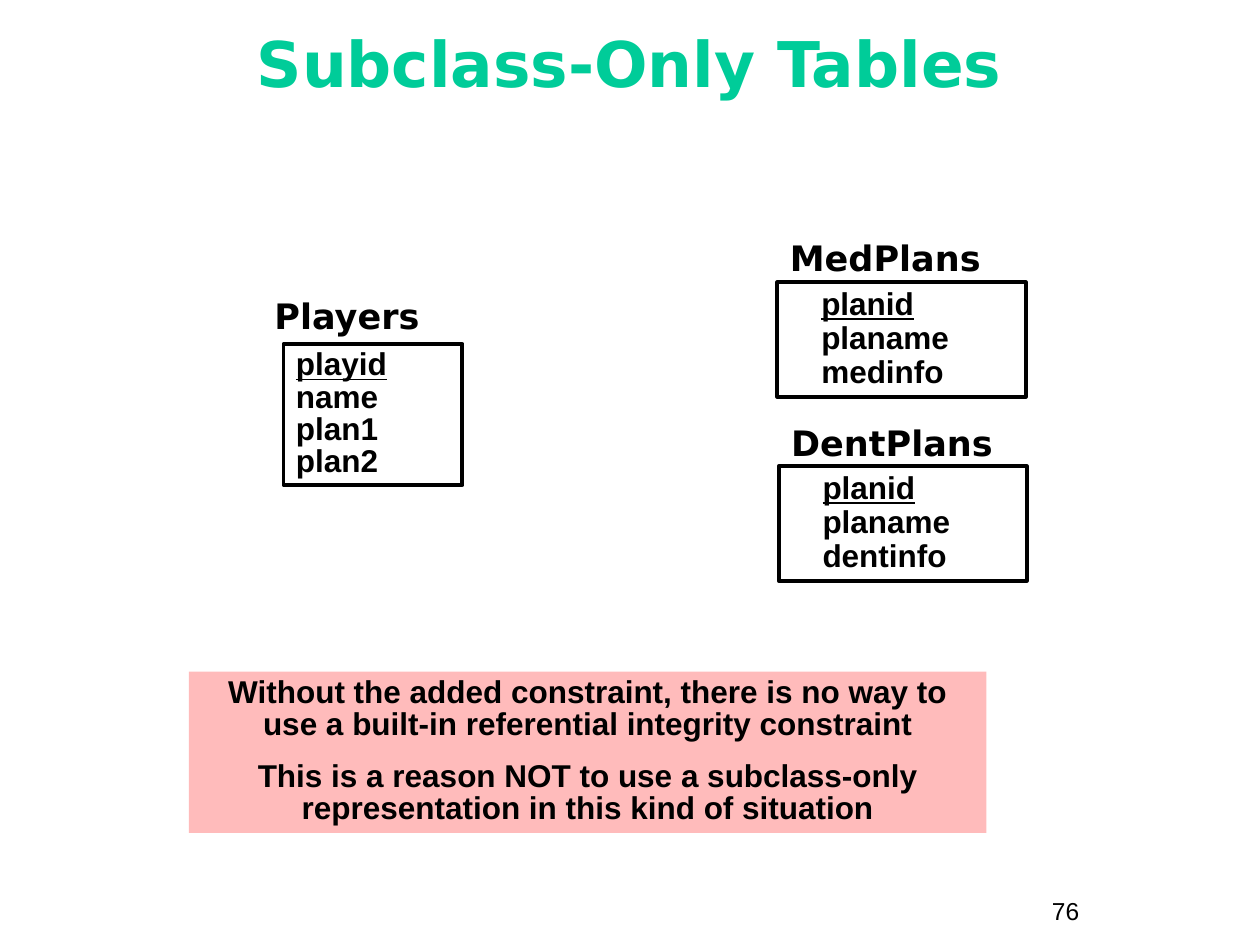
from pptx import Presentation, util as u
from pptx.dml.color import RGBColor
from pptx.enum import shapes, text

COLORS = {"title": "00CC99", "ink": "000000", "note": "FFBBBB"}
BODY, HEADING = "Arial", "DejaVu Sans"

TITLE = "Subclass-Only Tables"
PAGE_NUMBER = "76"
# The first column of each relation is its key.
RELATIONS = [
    dict(name="Players", columns=["playid", "name", "plan1", "plan2"],
         label=(2.08, 2.29), box=(2.25, 2.73, 1.42, 1.12), spacing=0.85, indent=0),
    dict(name="MedPlans", columns=["planid", "planame", "medinfo"],
         label=(6.17, 1.83), box=(6.17, 2.24, 1.97, 0.91), spacing=0.9, indent=0.25),
    dict(name="DentPlans", columns=["planid", "planame", "dentinfo"],
         label=(6.18, 3.3), box=(6.18, 3.7, 1.97, 0.91), spacing=0.9, indent=0.25),
]
NOTES = [
    "Without the added constraint, there is no way to use a built-in "
    "referential integrity constraint",
    "This is a reason NOT to use a subclass-only representation in this "
    "kind of situation",
]


def rgb(name):
    return RGBColor.from_string(COLORS[name])


def inches(*lengths):
    return [u.Inches(length) for length in lengths]


def write(shape, lines, size=18, font=BODY, color="ink", bold=True, align="LEFT",
          anchor="TOP", spacing=1.0, gap=0, indent=0, key=None):
    """Fill a shape with one paragraph per line; the line equal to key is underlined."""
    frame = shape.text_frame
    frame.word_wrap = True
    frame.auto_size = text.MSO_AUTO_SIZE.NONE
    frame.vertical_anchor = text.MSO_ANCHOR[anchor]
    for index, line in enumerate(lines):
        paragraph = frame.add_paragraph() if index else frame.paragraphs[0]
        paragraph.alignment = text.PP_ALIGN[align]
        paragraph.line_spacing = spacing
        paragraph.space_before = u.Pt(gap if index else 0)
        if indent:
            properties = paragraph._p.get_or_add_pPr()
            properties.set("marL", str(u.Inches(indent)))
            properties.set("indent", "0")
        run = paragraph.add_run()
        run.text = line
        run.font.size, run.font.name, run.font.bold = u.Pt(size), font, bold
        run.font.color.rgb = rgb(color)
        if line == key:
            run.font.underline = True


def add_rectangle(slide, place, fill=None, line=None):
    rectangle = slide.shapes.add_shape(shapes.MSO_SHAPE.RECTANGLE, *inches(*place))
    rectangle.shadow.inherit = False
    if fill:
        rectangle.fill.solid()
        rectangle.fill.fore_color.rgb = rgb(fill)
    else:
        rectangle.fill.background()
    if line:
        rectangle.line.color.rgb = rgb(line)
        rectangle.line.width = u.Pt(2.25)
    else:
        rectangle.line.fill.background()
    return rectangle


def add_relation(slide, relation):
    label = slide.shapes.add_textbox(*inches(*relation["label"], 2.15, 0.44))
    write(label, [relation["name"]], size=20, font=HEADING)
    columns = relation["columns"]
    write(add_rectangle(slide, relation["box"], line="ink"), columns, key=columns[0],
          spacing=relation["spacing"], indent=relation["indent"])


def main():
    deck = Presentation()
    deck.slide_width, deck.slide_height = inches(10, 7.5)
    slide = deck.slides.add_slide(deck.slide_layouts[5])

    title = slide.shapes.title
    title.left, title.top, title.width, title.height = inches(0.33, 0.08, 9.33, 0.83)
    write(title, [TITLE], size=36, font=HEADING, color="title", align="CENTER",
          anchor="MIDDLE")

    for relation in RELATIONS:
        add_relation(slide, relation)

    note = add_rectangle(slide, (1.5, 5.33, 6.33, 1.28), fill="note")
    write(note, NOTES, align="CENTER", spacing=0.85, gap=11.2)

    number = slide.shapes.add_textbox(*inches(8.25, 7.06, 0.92, 0.34))
    write(number, [PAGE_NUMBER], size=14, bold=False)

    deck.save("out.pptx")


if __name__ == "__main__":
    main()
